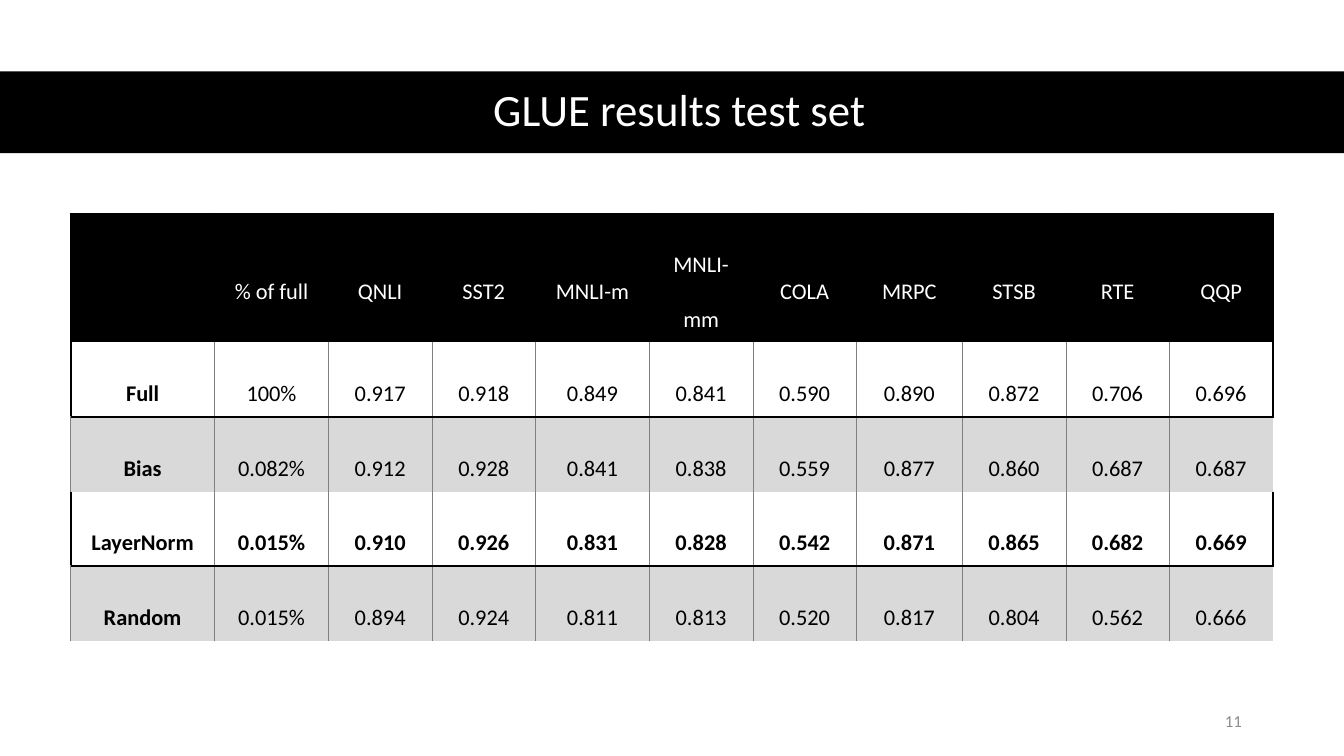
from lxml.etree import SubElement
from pptx import Presentation
from pptx.dml.color import RGBColor
from pptx.enum.shapes import MSO_SHAPE
from pptx.enum.text import MSO_ANCHOR, PP_ALIGN
from pptx.oxml.ns import qn
from pptx.util import Cm, Pt

FONT = "Calibri"
COLORS = {"black": "000000", "white": "FFFFFF", "band": "D9D9D9",
          "grid": "808080", "number": "8C8C8C"}
NO_STYLE = "{2D5ABB26-0587-4C30-8999-92F81FD0307C}"
OUTLINE, GRID = ("black", 1.5), ("grid", 0.5)

HEADER = ["", "% of full", "QNLI", "SST2", "MNLI-m", "MNLI-mm",
          "COLA", "MRPC", "STSB", "RTE", "QQP"]
RESULTS = [
    ["Full", "100%", "0.917", "0.918", "0.849", "0.841",
     "0.590", "0.890", "0.872", "0.706", "0.696"],
    ["Bias", "0.082%", "0.912", "0.928", "0.841", "0.838",
     "0.559", "0.877", "0.860", "0.687", "0.687"],
    ["LayerNorm", "0.015%", "0.910", "0.926", "0.831", "0.828",
     "0.542", "0.871", "0.865", "0.682", "0.669"],
    ["Random", "0.015%", "0.894", "0.924", "0.811", "0.813",
     "0.520", "0.817", "0.804", "0.562", "0.666"],
]
BEST = "LayerNorm"
COL_WEIGHTS = [3.63, 2.87, 2.61, 2.61, 2.87, 2.61, 2.61, 2.67, 2.61, 2.61, 2.61]
ROW_WEIGHTS = [3.25] + [1.88] * len(RESULTS)


def rgb(name):
    return RGBColor.from_string(COLORS[name])


def write(tf, text, size, color, align, bold=False):
    tf.text = text
    p = tf.paragraphs[0]
    p.alignment = align
    for r in p.runs:
        r.font.name, r.font.size, r.font.bold = FONT, Pt(size), bold
        r.font.color.rgb = rgb(color)
    return p


def add_label(s, box, text, size, color, align):
    tf = s.shapes.add_textbox(*map(Cm, box)).text_frame
    tf.word_wrap = True
    tf.vertical_anchor = MSO_ANCHOR.MIDDLE
    return write(tf, text, size, color, align)


def add_title_band(s, box):
    left, top, width, height = box
    band = s.shapes.add_shape(MSO_SHAPE.RECTANGLE, *map(Cm, box))
    band.shadow.inherit = False
    band.fill.solid()
    band.fill.fore_color.rgb = rgb("black")
    band.line.fill.background()
    p = add_label(s, (left + 1.55, top - 0.02, width - 2.73, height),
                  "GLUE results test set", 32, "white", PP_ALIGN.CENTER)
    p.line_spacing = 0.9


def cell_borders(row, col):
    """Return the (colour, points) of the left, right, top and bottom edges."""
    if row == 0:
        return {"L": OUTLINE, "R": OUTLINE, "T": OUTLINE, "B": None}
    last = col == len(HEADER) - 1
    plain = row % 2 == 1
    return {
        "L": OUTLINE if plain and col == 0 else GRID,
        "R": (OUTLINE if plain else None) if last else GRID,
        "T": None if plain else OUTLINE,
        "B": OUTLINE if plain else None,
    }


def draw_borders(cell, borders):
    tcPr = cell._tc.get_or_add_tcPr()
    for i, (side, border) in enumerate(borders.items()):
        ln = SubElement(tcPr, qn(f"a:ln{side}"))
        tcPr.insert(i, ln)
        if border is None:
            SubElement(ln, qn("a:noFill"))
            continue
        color, points = border
        ln.set("w", str(Pt(points)))
        fill = SubElement(ln, qn("a:solidFill"))
        SubElement(fill, qn("a:srgbClr"), val=COLORS[color])


def fill_cell(cell, row, col, text):
    header = row == 0
    cell.margin_left = cell.margin_right = Cm(0.2)
    cell.margin_top, cell.margin_bottom = Cm(0.03), 0
    cell.vertical_anchor = MSO_ANCHOR.MIDDLE
    bold = not header and (col == 0 or RESULTS[row - 1][0] == BEST)
    p = write(cell.text_frame, text, 16, "white" if header else "black",
              PP_ALIGN.CENTER, bold)
    p.line_spacing = 2.0
    p.space_after = Pt(8 if header else 0)
    if row % 2:
        cell.fill.background()
    else:
        cell.fill.solid()
        cell.fill.fore_color.rgb = rgb("black" if header else "band")
    draw_borders(cell, cell_borders(row, col))


def add_results_table(s, box):
    left, top, width, height = box
    rows = [HEADER] + RESULTS
    table = s.shapes.add_table(len(rows), len(HEADER), *map(Cm, box)).table
    table.horz_banding = table.first_row = False
    table._tbl.tblPr.find(qn("a:tableStyleId")).text = NO_STYLE
    for column, weight in zip(table.columns, COL_WEIGHTS):
        column.width = Cm(width * weight / sum(COL_WEIGHTS))
    for line, weight in zip(table.rows, ROW_WEIGHTS):
        line.height = Cm(height * weight / sum(ROW_WEIGHTS))
    for i, values in enumerate(rows):
        for j, text in enumerate(values):
            fill_cell(table.cell(i, j), i, j, text)


def add_slide_number(s, box):
    p = add_label(s, box, "11", 12, "number", PP_ALIGN.RIGHT)
    p.space_after = Pt(6)


def main():
    prs = Presentation()
    prs.slide_width, prs.slide_height = Cm(33.87), Cm(19.05)
    s = prs.slides.add_slide(prs.slide_layouts[6])
    add_title_band(s, (0, 1.8, 33.87, 2.06))
    add_slide_number(s, (23.93, 17.65, 7.62, 1.02))
    add_results_table(s, (1.78, 5.38, 30.3, 10.77))
    prs.save("out.pptx")


if __name__ == "__main__":
    main()
